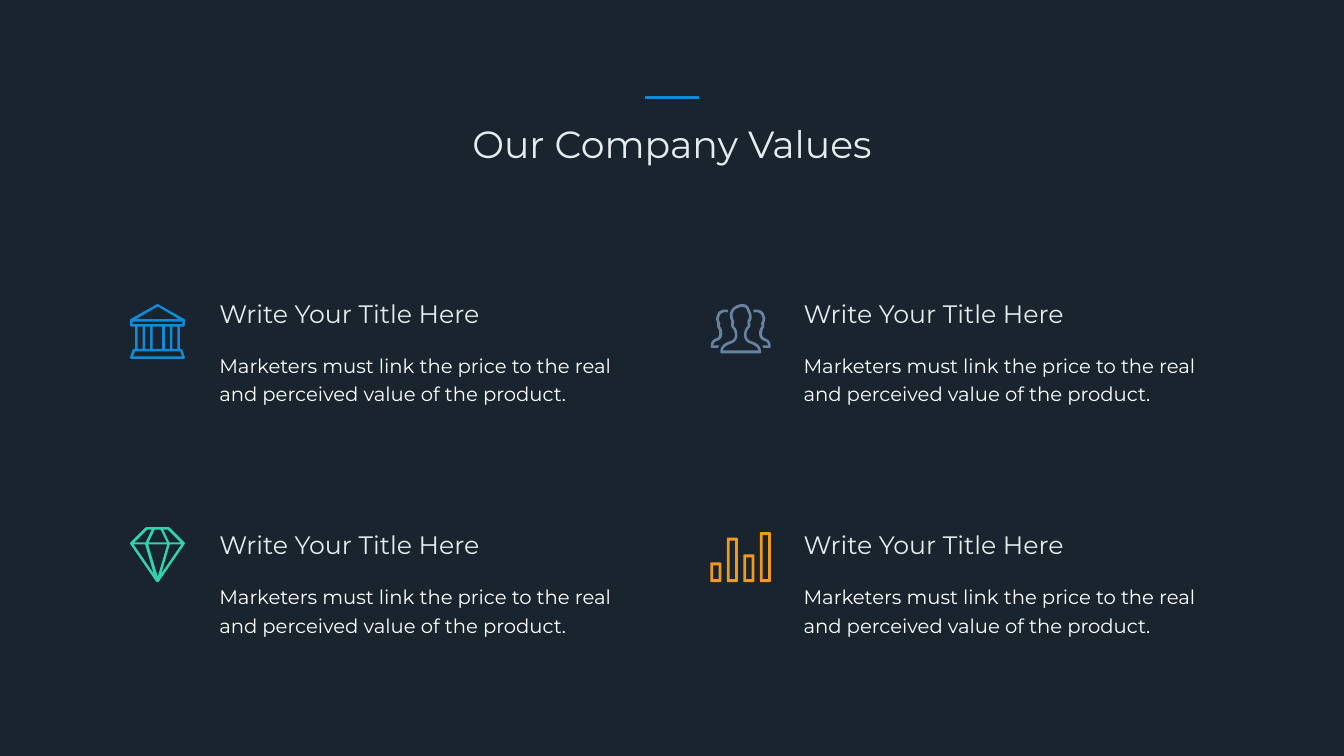
import dataclasses

import pptx
import pptx.dml.color
import pptx.enum.shapes
import pptx.enum.text
import pptx.util
from pptx.util import Cm, Pt


@dataclasses.dataclass(frozen=True)
class Theme:
    font: str = "Montserrat"
    background: str = "19242F"
    heading: str = "E6ECED"
    body: str = "FFFFFF"
    blue: str = "0F8BDA"
    slate: str = "6882A1"
    green: str = "33D1AD"
    orange: str = "F29A15"
    title_size: int = 54
    heading_size: int = 36
    body_size: int = 28
    body_leading: float = 40.8


THEME = Theme()
ICON_UNIT = Cm(0.0254)
GRAIN = 10  # freeform steps per icon unit
CURVE_STEPS = 6


def rgb(value):
    return pptx.dml.color.RGBColor.from_string(value)


def paint(shape, color):
    shape.shadow.inherit = False
    shape.fill.solid()
    shape.fill.fore_color.rgb = rgb(color)
    shape.line.fill.background()


def write(frame, text, size, color, wrap=True):
    frame.word_wrap = wrap
    frame.auto_size = pptx.enum.text.MSO_AUTO_SIZE.NONE
    frame.vertical_anchor = pptx.enum.text.MSO_ANCHOR.TOP
    para = frame.paragraphs[0]
    span = para.add_run()
    span.text = text
    span.font.name = THEME.font
    span.font.size = Pt(size)
    span.font.color.rgb = rgb(color)
    return para


# Icon outlines: a contour is a list of segments. The first is the start point;
# after it (x, y) is a straight line and six numbers are a Bézier curve.

def mirror(contour, width):
    return [tuple(width - v if i % 2 == 0 else v for i, v in enumerate(segment))
            for segment in contour]


def symmetric(half, width):
    return half + mirror(half, width)[::-1]


def rectangle(left, top, right, bottom, cut=0):
    """Rectangle whose corners are cut off when cut is given."""
    if not cut:
        return [(left, top), (right, top), (right, bottom), (left, bottom)]
    return [(left + cut, top), (right - cut, top), (right, top + cut),
            (right, bottom - cut), (right - cut, bottom), (left + cut, bottom),
            (left, bottom - cut), (left, top + cut)]


def bank_icon():
    outline = symmetric([(55, 0), (108, 30), (109, 32), (109, 42), (107, 45), (99, 45),
                         (99, 89), (101, 89), (104, 91), (109, 106), (107, 109)], 109)
    columns = [(15, 25), (30, 40), (45, 64), (69, 79), (84, 94)]
    return [outline,
            [(55, 5), (97, 30), (12, 30)],
            rectangle(5, 35, 104, 40),
            [(10, 94), (100, 94), (103, 104), (6, 104)],
            *(rectangle(left, 45, right, 89) for left, right in columns)]


def diamond_icon():
    outline = symmetric([(77, 0), (79, 1), (108, 30), (109, 32), (108, 34),
                         (57, 108), (55, 109)], 109)
    lower_side = [(62, 92), (79, 34), (102, 34)]
    upper_side = [(34, 5), (43, 5), (31, 30), (9, 30)]
    return [outline,
            lower_side, mirror(lower_side, 109),
            upper_side, mirror(upper_side, 109),
            [(55, 98), (36, 34), (74, 34)],
            [(49, 5), (61, 5), (73, 30), (37, 30)]]


def bars_icon():
    contours = []
    for index, top in enumerate((60, 11, 44, 0)):
        left = index * 32.7
        contours += [rectangle(left, top, left + 22, 99, cut=1.5),
                     rectangle(left + 5.5, top + 6, left + 16.5, 93)]
    return contours


def people_icon():
    front_outer = [
        (81, 74), (81, 74, 71, 72, 71, 62), (71, 53, 75, 49, 77, 47),
        (77, 47, 80, 45, 78, 36), (82, 31, 83, 23, 78, 13), (76, 7, 74, 4, 71, 2),
        (68, 1, 66, 0, 63, 0), (58, 0, 53, 2, 51, 3), (46, 6, 42, 8, 39, 16),
        (36, 24, 40, 31, 41, 35), (39, 44, 42, 47, 42, 47), (44, 49, 48, 53, 48, 62),
        (48, 72, 38, 74, 38, 74), (32, 76, 19, 80, 19, 95), (19, 95, 19, 98, 22, 98),
        (98, 98), (100, 98, 100, 95, 100, 95), (100, 80, 87, 76, 81, 74)]
    front_inner = [
        (24, 92), (26, 85, 32, 82, 39, 79), (44, 78, 53, 73, 53, 62),
        (53, 52, 49, 47, 47, 45), (46, 44), (46, 44, 45, 41, 47, 37), (46, 33),
        (45, 30, 42, 23, 44, 18), (47, 11, 49, 10, 54, 8), (55, 7, 59, 6, 63, 6),
        (65, 6, 67, 6, 68, 7), (70, 8, 71, 9, 73, 15), (78, 25, 75, 30, 74, 32),
        (73, 34, 72, 35, 73, 37), (74, 41, 73, 43, 73, 44), (72, 45),
        (70, 47, 66, 52, 66, 62), (66, 73, 75, 78, 80, 79), (87, 82, 93, 85, 95, 92)]
    side = [
        (108, 68), (108, 68, 102, 67, 102, 59), (102, 52, 104, 49, 105, 48),
        (105, 48, 107, 45, 106, 38), (107, 35, 110, 29, 107, 24),
        (105, 17, 103, 15, 99, 13), (97, 12, 93, 11, 89, 11), (88, 11, 86, 11, 84, 12),
        (85, 14, 85, 16, 86, 17), (87, 17, 88, 16, 89, 16), (92, 16, 95, 17, 96, 18),
        (99, 19, 100, 20, 102, 26), (104, 29, 102, 34, 101, 36),
        (100, 37, 100, 38, 100, 40), (101, 43, 101, 44, 101, 44), (100, 45),
        (99, 47, 96, 50, 96, 59), (96, 68, 102, 72, 106, 73),
        (110, 74, 113, 76, 114, 82), (102, 82), (103, 83, 104, 85, 104, 87),
        (117, 87), (119, 87, 119, 84, 119, 84), (119, 73, 113, 70, 108, 68)]
    return [front_outer, front_inner, side, mirror(side, 119)]


def flatten(contour):
    """Turn lines and curves into points on the freeform grid."""
    points = [contour[0]]
    for segment in contour[1:]:
        if len(segment) == 2:
            points.append(segment)
            continue
        start = points[-1]
        for step in range(1, CURVE_STEPS + 1):
            t = step / CURVE_STEPS
            u = 1 - t
            points.append(tuple(
                u**3 * start[axis] + 3 * u * u * t * segment[axis]
                + 3 * u * t * t * segment[axis + 2] + t**3 * segment[axis + 4]
                for axis in (0, 1)))
    return [(round(x * GRAIN), round(y * GRAIN)) for x, y in points]


def add_icon(page, left, top, contours, color):
    outlines = [flatten(contour) for contour in contours]
    builder = page.shapes.build_freeform(*outlines[0][0], scale=ICON_UNIT / GRAIN)
    for outline in outlines:
        builder.move_to(*outline[0])
        builder.add_line_segments(outline[1:], close=True)
    paint(builder.convert_to_shape(left, top), color)


def add_header(page, left, top, width):
    rule_width = Cm(2.7)
    rule = page.shapes.add_shape(pptx.enum.shapes.MSO_SHAPE.RECTANGLE,
                                 left + (width - rule_width) // 2, top, rule_width, Cm(0.13))
    paint(rule, THEME.blue)
    title = page.shapes.title
    title.left, title.top, title.width, title.height = left, top + Cm(1.09), width, Cm(2.57)
    para = write(title.text_frame, "Our Company Values", THEME.title_size, THEME.heading, wrap=False)
    para.alignment = pptx.enum.text.PP_ALIGN.CENTER


def add_value(page, left, top, contours, color, icon_offset):
    dx, dy = icon_offset
    add_icon(page, left + Cm(dx), top + Cm(dy), contours, color)
    text_left = left + Cm(4.45)
    heading = page.shapes.add_textbox(text_left, top, Cm(14.55), Cm(1.8))
    write(heading.text_frame, "Write Your Title Here", THEME.heading_size, THEME.heading)
    body = page.shapes.add_textbox(text_left, top + Cm(2.54), Cm(20.9), Cm(3.05))
    para = write(body.text_frame,
                 "Marketers must link the price to the real and perceived value of the product.",
                 THEME.body_size, THEME.body)
    para.line_spacing = Pt(THEME.body_leading)


def main():
    deck = pptx.Presentation()
    deck.slide_width, deck.slide_height = Cm(67.72), Cm(38.1)
    page = deck.slides.add_slide(deck.slide_layouts[5])
    page.background.fill.solid()
    page.background.fill.fore_color.rgb = rgb(THEME.background)

    add_header(page, Cm(23.36), Cm(4.85), Cm(21))
    values = [(bank_icon(), THEME.blue, (0.2, 0.41)),
              (people_icon(), THEME.slate, (0.02, 0.41)),
              (diamond_icon(), THEME.green, (0.2, 0)),
              (bars_icon(), THEME.orange, (0, 0.25))]
    for index, value in enumerate(values):
        row, column = divmod(index, 2)
        add_value(page, Cm(6.35 + 29.44 * column), Cm(14.91 + 11.66 * row), *value)
    deck.save("out.pptx")


if __name__ == "__main__":
    main()
